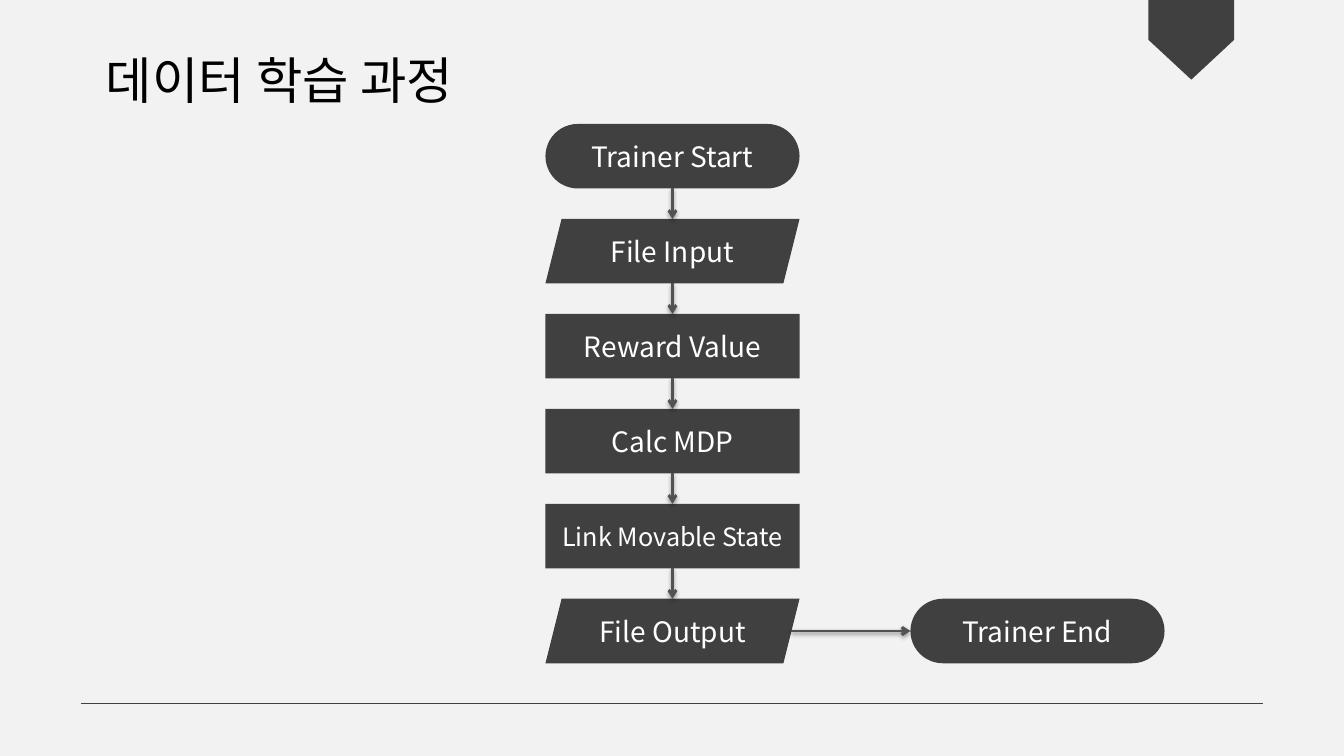
from dataclasses import dataclass
from itertools import pairwise

from lxml import etree
from pptx import Presentation
from pptx import util as u
from pptx.dml.color import RGBColor
from pptx.enum import shapes, text
from pptx.oxml import ns, parse_xml

KIND = shapes.MSO_SHAPE


@dataclass(frozen=True)
class Theme:
    font: str = "Noto Sans CJK KR"
    paper: str = "F2F2F2"
    dark: str = "404040"
    arrow: str = "525252"
    title_ink: str = "000000"
    step_ink: str = "FFFFFF"
    title_size: float = 36
    step_size: float = 20
    small_size: float = 18
    rule_width: float = 0.75
    arrow_width: float = 2


@dataclass(frozen=True)
class Grid:
    left: float = 5.41
    top: float = 1.23
    col_pitch: float = 3.62
    row_pitch: float = (5.94 - 1.23) / 5
    width: float = 2.52
    height: float = 0.64

    def x(self, col: int) -> float:
        return self.left + col * self.col_pitch

    def y(self, row: int) -> float:
        return self.top + row * self.row_pitch


@dataclass(frozen=True)
class Step:
    label: str
    kind: KIND
    row: int
    col: int = 0
    size: float = Theme.step_size


THEME = Theme()
GRID = Grid()
SLANT = 0.25

STEPS = [
    Step("Trainer Start", KIND.ROUNDED_RECTANGLE, 0),
    Step("File Input", KIND.PARALLELOGRAM, 1),
    Step("Reward Value", KIND.RECTANGLE, 2),
    Step("Calc MDP", KIND.RECTANGLE, 3),
    Step("Link Movable State", KIND.RECTANGLE, 4, size=THEME.small_size),
    Step("File Output", KIND.PARALLELOGRAM, 5),
    Step("Trainer End", KIND.ROUNDED_RECTANGLE, 5, col=1),
]

ARROW_SHADOW = (
    f'<a:effectLst {ns.nsdecls("a")}>'
    '<a:outerShdw blurRad="39370" dist="20320" dir="5400000" rotWithShape="0">'
    '<a:srgbClr val="000000"><a:alpha val="38000"/></a:srgbClr>'
    "</a:outerShdw></a:effectLst>"
)
NO_EFFECT = f'<a:effectLst {ns.nsdecls("a")}/>'


def rgb(value: str) -> RGBColor:
    return RGBColor.from_string(value)


def format_runs(tf, size: float, colour: str) -> None:
    for p in tf.paragraphs:
        for r in p.runs:
            r.font.size = u.Pt(size)
            r.font.name = THEME.font
            r.font.color.rgb = rgb(colour)
            east_asian = etree.SubElement(r.font._element, ns.qn("a:ea"))
            east_asian.set("typeface", THEME.font)


def add_solid(s, kind: KIND, left: float, top: float, width: float, height: float):
    """Add a dark shape with neither outline nor shadow."""
    sp = s.shapes.add_shape(
        kind, u.Inches(left), u.Inches(top), u.Inches(width), u.Inches(height)
    )
    sp.shadow.inherit = False
    sp.fill.solid()
    sp.fill.fore_color.rgb = rgb(THEME.dark)
    sp.line.fill.background()
    return sp


def add_line(s, x1: float, y1: float, x2: float, y2: float,
             colour: str, width: float, effect: str):
    line = s.shapes.add_connector(
        shapes.MSO_CONNECTOR.STRAIGHT,
        u.Inches(x1), u.Inches(y1), u.Inches(x2), u.Inches(y2),
    )
    line.line.color.rgb = rgb(colour)
    line.line.width = u.Pt(width)
    line._element.spPr.append(parse_xml(effect))
    return line


def add_title(s, label: str) -> None:
    sp = s.shapes.title
    sp.left, sp.top = u.Inches(0.95), u.Inches(0.44)
    sp.width, sp.height = u.Inches(3.81), u.Inches(0.71)
    tf = sp.text_frame
    tf.text = label
    tf.word_wrap = False
    tf.auto_size = text.MSO_AUTO_SIZE.SHAPE_TO_FIT_TEXT
    tf.vertical_anchor = text.MSO_ANCHOR.TOP
    tf.paragraphs[0].alignment = text.PP_ALIGN.LEFT
    format_runs(tf, THEME.title_size, THEME.title_ink)


def add_step(s, step: Step):
    sp = add_solid(s, step.kind, GRID.x(step.col), GRID.y(step.row),
                   GRID.width, GRID.height)
    if step.kind == KIND.ROUNDED_RECTANGLE:
        sp.adjustments[0] = 0.5
    tf = sp.text_frame
    tf.text = step.label
    tf.word_wrap = True
    tf.vertical_anchor = text.MSO_ANCHOR.MIDDLE
    tf.paragraphs[0].alignment = text.PP_ALIGN.CENTER
    format_runs(tf, step.size, THEME.step_ink)
    return sp


def add_arrow(s, start: Step, end: Step, start_sp, end_sp) -> None:
    """Link two steps, downwards in a column or rightwards in a row."""
    if start.col == end.col:
        x1 = x2 = GRID.x(start.col) + GRID.width / 2
        y1, y2 = GRID.y(start.row) + GRID.height, GRID.y(end.row)
        start_site, end_site = 2, 0
    else:
        inset = SLANT * GRID.height / 2 if start.kind == KIND.PARALLELOGRAM else 0
        x1, x2 = GRID.x(start.col) + GRID.width - inset, GRID.x(end.col)
        y1 = y2 = GRID.y(start.row) + GRID.height / 2
        start_site, end_site = 3, 1
    arrow = add_line(s, x1, y1, x2, y2, THEME.arrow, THEME.arrow_width, ARROW_SHADOW)
    etree.SubElement(arrow.line._get_or_add_ln(), ns.qn("a:tailEnd")).set("type", "arrow")
    if start.kind != KIND.PARALLELOGRAM:
        arrow.begin_connect(start_sp, start_site)
    if end.kind != KIND.PARALLELOGRAM:
        arrow.end_connect(end_sp, end_site)


def main() -> None:
    prs = Presentation()
    prs.slide_width, prs.slide_height = u.Inches(13.33), u.Inches(7.5)
    s = prs.slides.add_slide(prs.slide_layouts[5])
    s.background.fill.solid()
    s.background.fill.fore_color.rgb = rgb(THEME.paper)

    add_title(s, "데이터 학습 과정")
    ribbon = add_solid(s, KIND.PENTAGON, 11.42, -0.03, 0.79, 0.85)
    ribbon.rotation = 90
    add_line(s, 0.8, 6.98, 12.53, 6.98, THEME.dark, THEME.rule_width, NO_EFFECT)

    drawn = [(step, add_step(s, step)) for step in STEPS]
    for (start, start_sp), (end, end_sp) in pairwise(drawn):
        add_arrow(s, start, end, start_sp, end_sp)

    prs.save("out.pptx")


if __name__ == "__main__":
    main()
